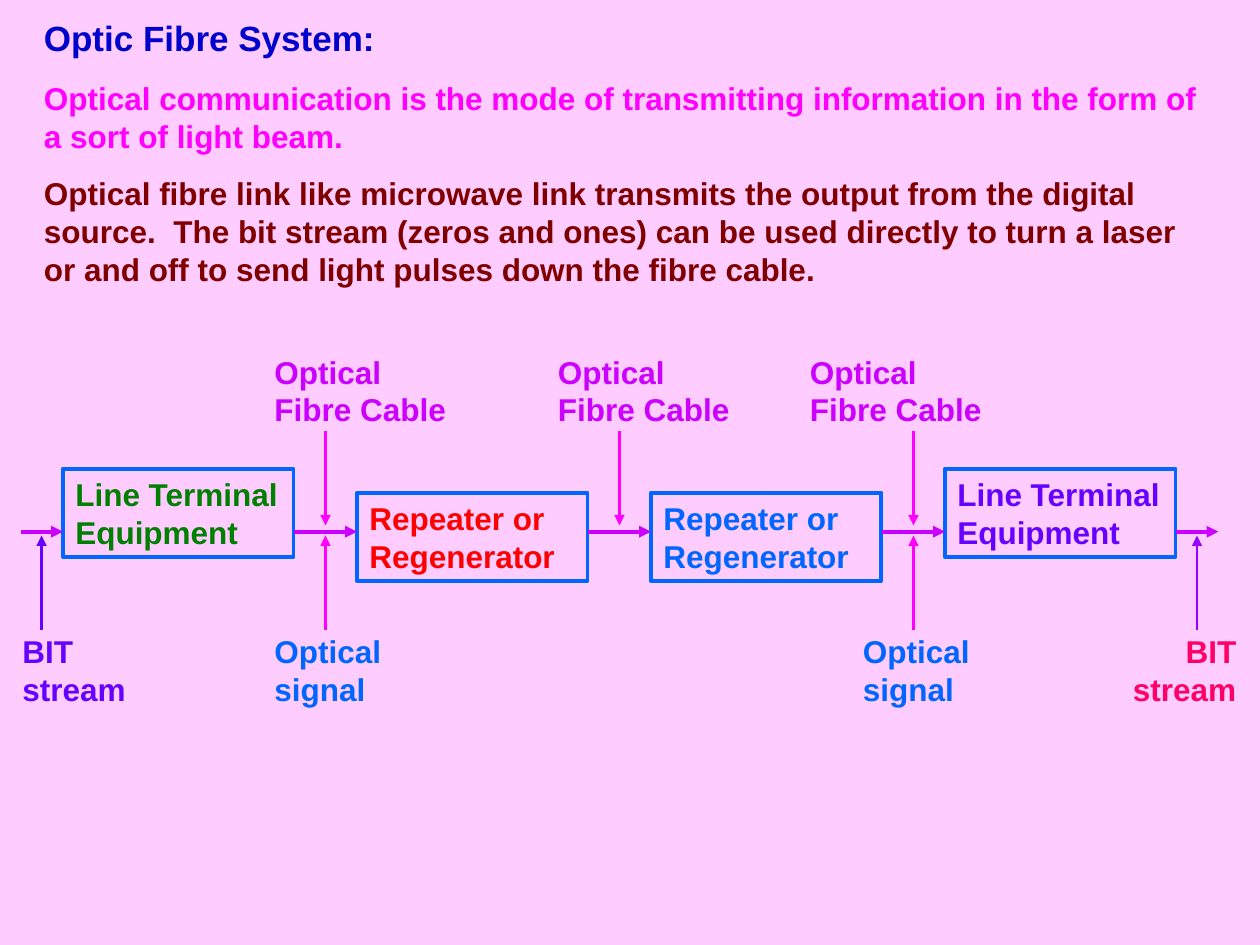
from dataclasses import dataclass

from lxml import etree
from pptx import Presentation
from pptx.dml.color import RGBColor
from pptx.enum.shapes import MSO_CONNECTOR, MSO_SHAPE
from pptx.enum.text import MSO_ANCHOR, MSO_AUTO_SIZE, PP_ALIGN
from pptx.oxml.ns import qn
from pptx.util import Inches, Pt

STRAIGHT = MSO_CONNECTOR.STRAIGHT
RECTANGLE = MSO_SHAPE.RECTANGLE
TOP = MSO_ANCHOR.TOP
GROW = MSO_AUTO_SIZE.SHAPE_TO_FIT_TEXT
LEFT, RIGHT = PP_ALIGN.LEFT, PP_ALIGN.RIGHT


@dataclass(frozen=True)
class Theme:
    font: str = "Arial"
    title_size: float = 20
    body_size: float = 18
    paragraph_gap: float = 11.2
    thick: float = 2.25
    thin: float = 1.5
    background: str = "FFCCFF"
    navy: str = "0000CC"
    magenta: str = "FF00FF"
    maroon: str = "800000"
    blue: str = "0066FF"
    green: str = "008000"
    red: str = "FF0000"
    indigo: str = "6600FF"
    violet: str = "9900FF"
    purple: str = "CC00FF"
    pink: str = "FF0066"


THEME = Theme()

TITLE = [("Optic Fibre System:", THEME.navy)]
BODY = [
    ("Optical communication is the mode of transmitting information in the form of "
     "a sort of light beam.", THEME.magenta),
    ("Optical fibre link like microwave link transmits the output from the digital "
     "source.  The bit stream (zeros and ones) can be used directly to turn a laser "
     "or and off to send light pulses down the fibre cable.", THEME.maroon),
]
STAGES = [
    ("Line Terminal Equipment", THEME.green, 3.72),
    ("Repeater or Regenerator", THEME.red, 3.91),
    ("Repeater or Regenerator", THEME.blue, 3.91),
    ("Line Terminal Equipment", THEME.indigo, 3.72),
]
CABLE_LABEL_LEFTS = [2.08, 4.33, 6.33]
LOWER_LABELS = [
    ("BIT stream", THEME.indigo, 0.08, LEFT),
    ("Optical signal", THEME.blue, 2.08, LEFT),
    ("Optical signal", THEME.blue, 6.75, LEFT),
    ("BIT stream", THEME.pink, 8.83, RIGHT),
]

STAGE_LEFT, STAGE_WIDTH, STAGE_GAP = 0.5, 1.83, 0.5
STAGE_PITCH = 7 / 3
LABEL_HEIGHT = 0.7
SIGNAL_Y, SIGNAL_START, SIGNAL_END = 4.22, 0.17, 9.67
CABLE_LABEL_TOP, LOWER_LABEL_TOP = 2.75, 4.97

stage_lefts = [STAGE_LEFT + index * STAGE_PITCH for index in range(len(STAGES))]
gap_centres = [left - STAGE_GAP / 2 for left in stage_lefts[1:]]
link_starts = [SIGNAL_START] + [left + STAGE_PITCH - STAGE_GAP for left in stage_lefts]
link_ends = stage_lefts + [SIGNAL_END]
UP_ARROWS = [
    (0.33, THEME.indigo),
    (gap_centres[0], THEME.magenta),
    (gap_centres[-1], THEME.magenta),
    (9.5, THEME.violet),
]


def colour(value):
    """Return the colour object for a hex value."""
    return RGBColor.from_string(value)


def add_text(slide, paragraphs, box, size=THEME.body_size, align=LEFT, wrap=True, border=None):
    """Add coloured paragraphs in a text box, or in a bordered rectangle."""
    bounds = [Inches(length) for length in box]
    if border:
        shape = slide.shapes.add_shape(RECTANGLE, *bounds)
        shape.shadow.inherit = False
        shape.fill.background()
        shape.line.color.rgb = colour(border)
        shape.line.width = Pt(THEME.thick)
    else:
        shape = slide.shapes.add_textbox(*bounds)
    frame = shape.text_frame
    frame.word_wrap = wrap
    frame.auto_size = GROW
    frame.vertical_anchor = TOP
    for index, (text, text_colour) in enumerate(paragraphs):
        paragraph = frame.add_paragraph() if index else frame.paragraphs[0]
        paragraph.alignment = align
        paragraph.space_before = Pt(THEME.paragraph_gap if index else 0)
        run = paragraph.add_run()
        run.text = text
        run.font.name = THEME.font
        run.font.size = Pt(size)
        run.font.bold = True
        run.font.color.rgb = colour(text_colour)


def add_arrow(slide, start, end, line_colour, width):
    """Add a straight arrow between two points."""
    points = [Inches(length) for length in (*start, *end)]
    connector = slide.shapes.add_connector(STRAIGHT, *points)
    connector.line.color.rgb = colour(line_colour)
    connector.line.width = Pt(width)
    etree.SubElement(connector.line._get_or_add_ln(), qn("a:tailEnd"), type="triangle")
    etree.SubElement(connector._element.spPr, qn("a:effectLst"))


def main():
    """Build the optic fibre system slide."""
    presentation = Presentation()
    presentation.slide_width, presentation.slide_height = Inches(10), Inches(7.5)
    slide = presentation.slides.add_slide(presentation.slide_layouts[6])
    slide.background.fill.solid()
    slide.background.fill.fore_color.rgb = colour(THEME.background)

    add_text(slide, TITLE, (0.25, 0.08, 2.83, 0.44), size=THEME.title_size, wrap=False)
    add_text(slide, BODY, (0.25, 0.58, 9.42, 1.76))
    for left, (text, text_colour, top) in zip(stage_lefts, STAGES):
        box = (left, top, STAGE_WIDTH, LABEL_HEIGHT)
        add_text(slide, [(text, text_colour)], box, border=THEME.blue)
    for start, end in zip(link_starts, link_ends):
        add_arrow(slide, (start, SIGNAL_Y), (end, SIGNAL_Y), THEME.purple, THEME.thick)
    for text, text_colour, left, align in LOWER_LABELS:
        box = (left, LOWER_LABEL_TOP, 1.08, LABEL_HEIGHT)
        add_text(slide, [(text, text_colour)], box, align=align)
    for left in CABLE_LABEL_LEFTS:
        box = (left, CABLE_LABEL_TOP, 1.58, LABEL_HEIGHT)
        add_text(slide, [("Optical Fibre Cable", THEME.purple)], box)
    for x, line_colour in UP_ARROWS:
        add_arrow(slide, (x, 5), (x, 4.25), line_colour, THEME.thin)
    for x in gap_centres:
        add_arrow(slide, (x, 3.42), (x, 4.17), THEME.magenta, THEME.thin)

    presentation.save("out.pptx")


if __name__ == "__main__":
    main()
